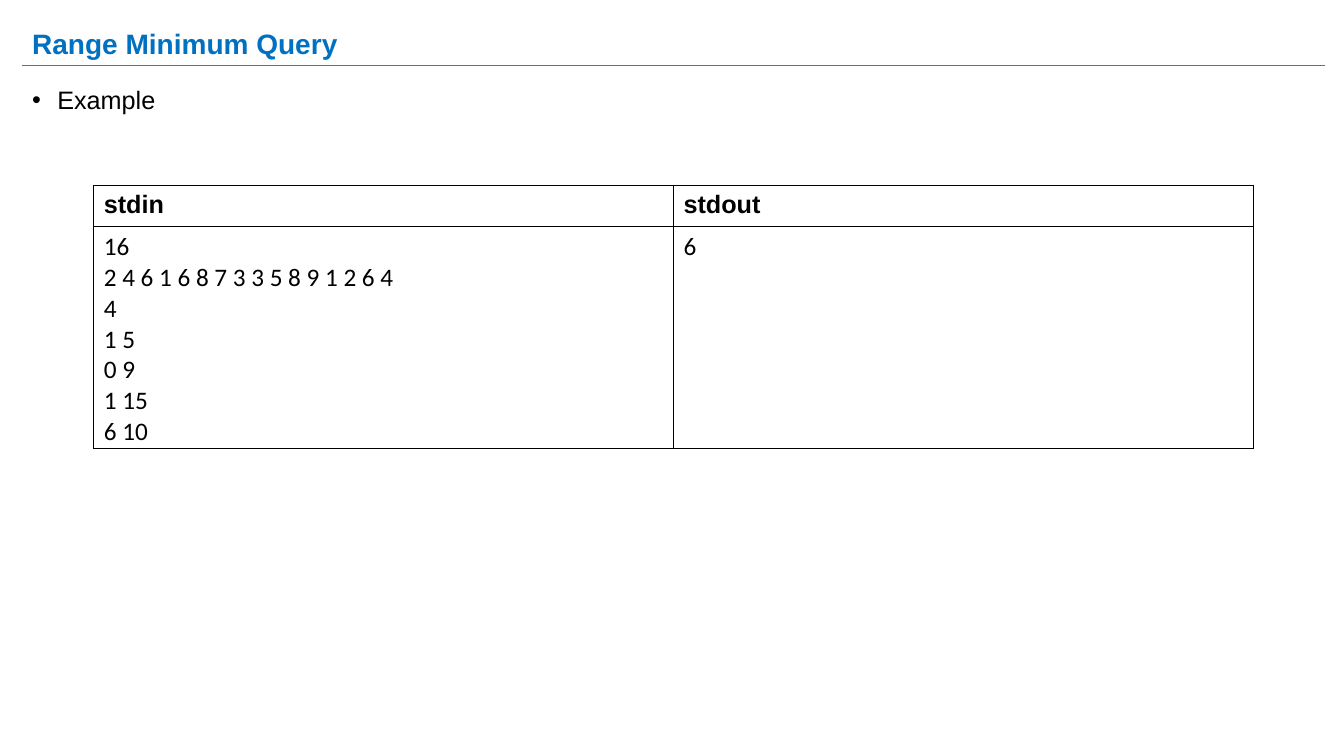
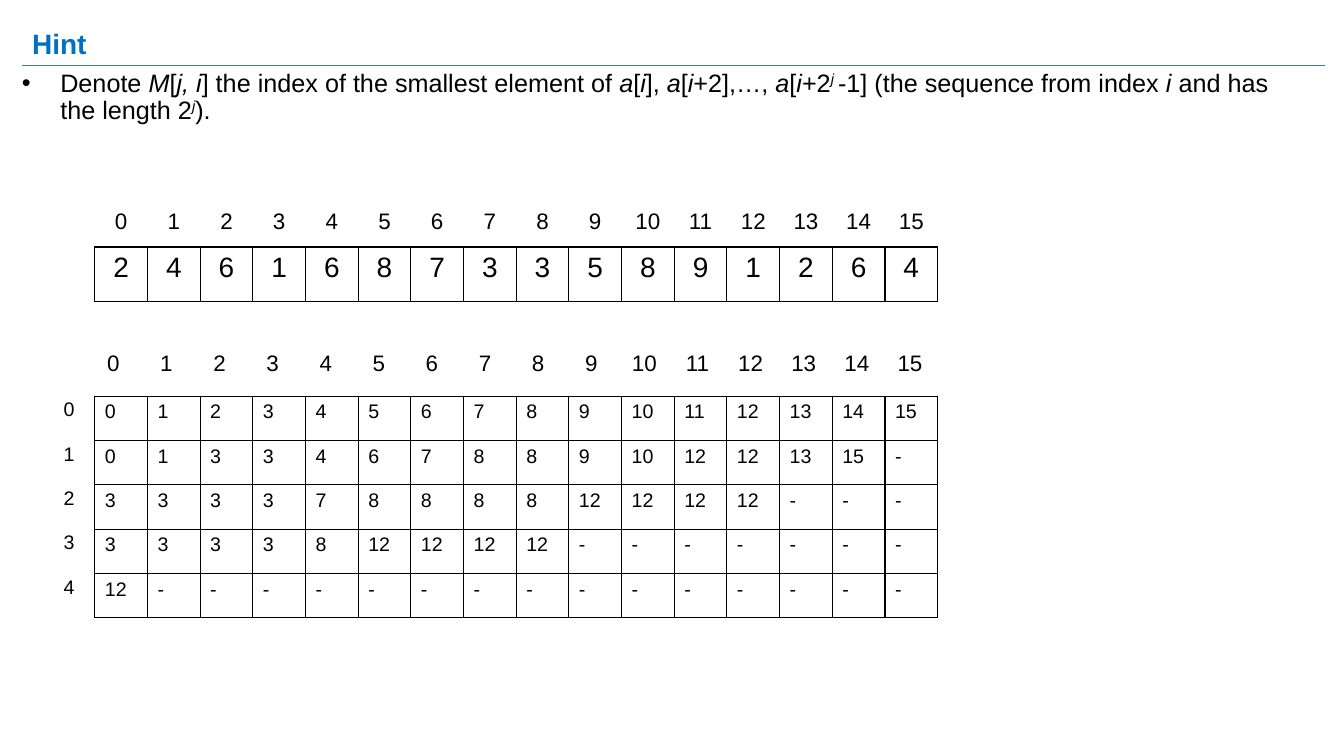
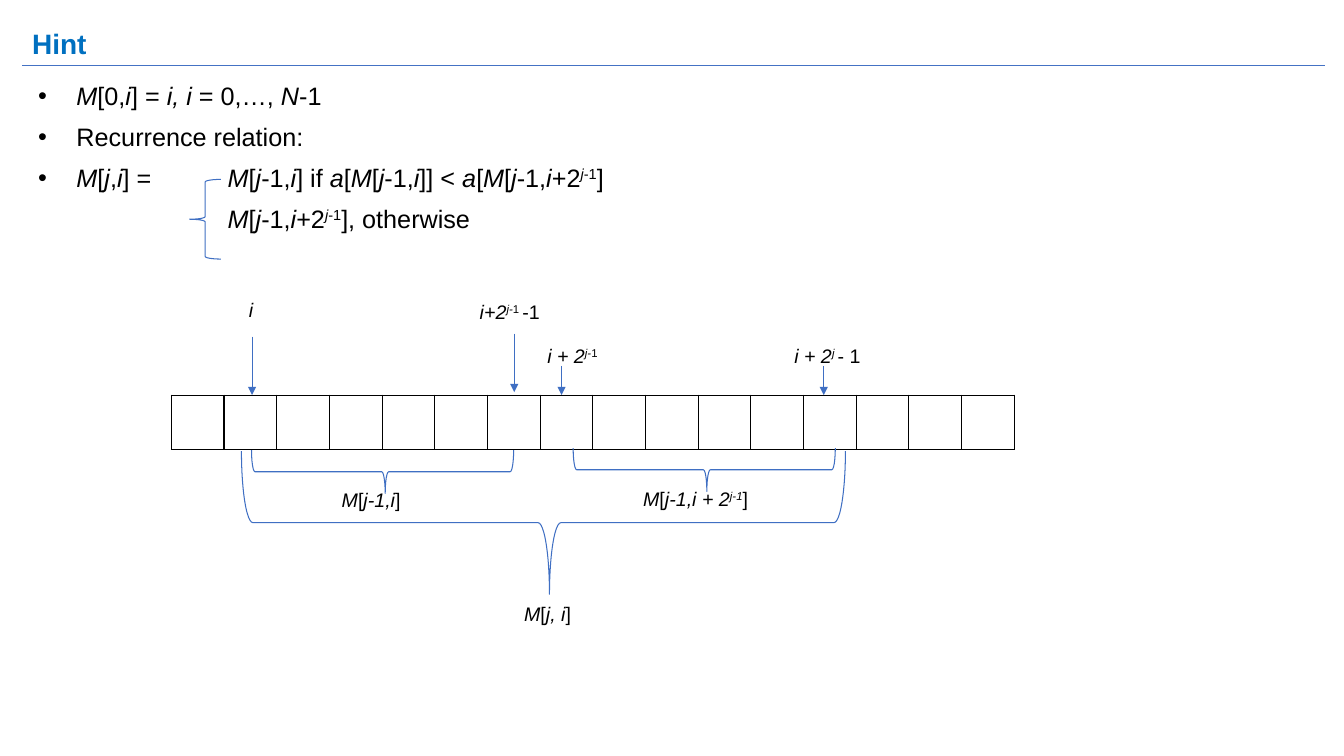
from lxml import etree
from pptx import Presentation
from pptx import util as u
from pptx.dml.color import RGBColor
from pptx.enum import shapes, text
from pptx.oxml import ns

px = 9144
color = RGBColor.from_string
BLACK, WHITE, TITLE_BLUE, RULE_BLUE, DRAWING_BLUE = "000000", "FFFFFF", "0070C0", "4472C4", "3F6FC3"
CENTER = {"alignment": text.PP_ALIGN.CENTER}


def write(frame, lines, font, layout={}, ink=BLACK):
    """Underscores switch italics, carets switch superscript."""
    frame.word_wrap = True
    for n, line in enumerate(lines):
        paragraph = frame.add_paragraph() if n else frame.paragraphs[0]
        for key, value in layout.items():
            setattr(paragraph, key, value)
        raised = False
        for i, part in enumerate(line.split("_")):
            for k, piece in enumerate(part.split("^")):
                raised ^= k > 0
                if not piece:
                    continue
                run = paragraph.add_run()
                run.text = piece
                for key, value in {"name": "Arial", "italic": i % 2 == 1, **font}.items():
                    setattr(run.font, key, value)
                run.font.color.rgb = color(ink)
                if raised:
                    run.font._element.set("baseline", "30000")


def add_grid(slide, box, rows, fonts, layout={}, border=BLACK, fill=None):
    table = slide.shapes.add_table(len(rows), len(rows[0]), *[v * px for v in box]).table
    table.first_row = table.horz_banding = False
    for r, row in enumerate(rows):
        for c, value in enumerate(row):
            cell = table.cell(r, c)
            write(cell.text_frame, value.split("\n"), fonts[r % len(fonts)], layout)
            if fill:
                cell.fill.solid()
                cell.fill.fore_color.rgb = color(fill)
            else:
                cell.fill.background()
            for n, side in enumerate("LRTB"):
                edge = etree.Element(ns.qn(f"a:ln{side}"), w=str(u.Pt(1)))
                if border:
                    paint = etree.SubElement(edge, ns.qn("a:solidFill"))
                    etree.SubElement(paint, ns.qn("a:srgbClr"), val=border)
                else:
                    etree.SubElement(edge, ns.qn("a:noFill"))
                cell._tc.get_or_add_tcPr().insert(n, edge)


deck = Presentation()
deck.slide_width, deck.slide_height = 1333 * px, 750 * px
connectors = []
slides = []
for title in ["Range Minimum Query", "Hint", "Hint"]:
    slide = deck.slides.add_slide(deck.slide_layouts[6])
    frame = slide.shapes.add_textbox(22 * px, 16 * px, 1292 * px, 59 * px).text_frame
    frame.vertical_anchor = text.MSO_ANCHOR.MIDDLE
    write(frame, [title], {"size": u.Pt(20), "bold": True}, {"line_spacing": 0.9}, TITLE_BLUE)
    connectors.append((slide, (22, 65, 1314, 65), RULE_BLUE, False))
    slides.append(slide)
example, sparse_table, recurrence = slides

bodies = [
    (example, (22, 82, 1292, 59), 25, 25, 0, ["Example"]),
    (sparse_table, (0, 65, 1303, 547), 50, 38, 10, [
        "Denote _M_[_j, i_] the index of the smallest element of _a_[_i_], _a_[_i_+2],…, "
        "_a_[_i_+2_^j ^_-1] (the sequence from index _i_ and has the length 2_^j^_).",
    ]),
    (recurrence, (16, 78, 1292, 547), 50, 38, 10, [
        "_M_[0,_i_] = _i, i_ = 0,…, _N_-1",
        "Recurrence relation:",
        "_M_[_j_,_i_] =",
    ]),
    (recurrence, (216, 159, 1092, 88), 0, 0, 10, [
        "_M_[_j_-1,_i_] if _a_[_M_[_j_-1,_i_]] < _a_[_M_[_j_-1,_i_+2^_j_-1^]",
        "_M_[_j_-1,_i_+2^_j_-1^], otherwise",
    ]),
]
for slide, box, indent, hang, space, lines in bodies:
    frame = slide.shapes.add_textbox(*[v * px for v in box]).text_frame
    write(frame, lines, {"size": u.Pt(18)}, {"line_spacing": 0.9, "space_before": u.Pt(space)})
    if not hang:
        continue
    for paragraph in frame.paragraphs:
        props = paragraph._p.get_or_add_pPr()
        props.set("marL", str(indent * px))
        props.set("indent", str(-hang * px))
        etree.SubElement(props, ns.qn("a:buFont"), typeface="Arial")
        etree.SubElement(props, ns.qn("a:buChar"), char="•")

stdin = "16\n2 4 6 1 6 8 7 3 3 5 8 9 1 2 6 4\n4\n1 5\n0 9\n1 15\n6 10"
header_font = {"size": u.Pt(18), "bold": True}
sample_font = {"size": u.Pt(18), "name": "Calibri"}
add_grid(example, (93, 184, 1150, 82), [["stdin", "stdout"], [stdin, "6"]],
         [header_font, sample_font], fill=WHITE)

array = "2 4 6 1 6 8 7 3 3 5 8 9 1 2 6 4".split()
indices = [str(i) for i in range(len(array))]
minimum_positions = [
    indices,
    "0 1 3 3 4 6 7 8 8 9 10 12 12 13 15 -".split(),
    "3 3 3 3 7 8 8 8 8 12 12 12 12 - - -".split(),
    "3 3 3 3 8 12 12 12 12 - - - - - - -".split(),
    ["12"] + ["-"] * 15,
]
small, medium, large = [[{"size": u.Pt(size)}] for size in (14, 16, 20)]
add_grid(sparse_table, (94, 245, 836, 54), [array], large, CENTER)
add_grid(sparse_table, (94, 203, 836, 47), [indices], medium, CENTER, border=None)
add_grid(sparse_table, (94, 393, 836, 220), minimum_positions, small)
add_grid(sparse_table, (86, 344, 843, 47), [indices], medium, CENTER, border=None)
add_grid(sparse_table, (42, 391, 53, 220), [[level] for level in indices[:5]], small, CENTER, border=None)

add_grid(recurrence, (170, 392, 836, 54), [[""] * 16], large)

cases = (188, 178, 31, 79)
left_half, right_half, whole = (358, 338, 43, 260), (677, 336, 43, 260), (468, 219, 142, 599)
for box in [cases, left_half, right_half, whole]:
    brace = recurrence.shapes.add_shape(shapes.MSO_SHAPE.LEFT_BRACE, *[v * px for v in box])
    brace.shadow.inherit = False
    brace.fill.background()
    brace.line.color.rgb = color(DRAWING_BLUE)
    brace.line.width = u.Pt(0.75)
    if box != cases:
        brace.rotation = 270
        brace.adjustments[0], brace.adjustments[1] = 0.08, 0.51

labels = [
    (237, 291, 55, "_i_"),
    (466, 293, 150, "_i+2^j-_1 ^-1"),
    (533, 336, 150, "_i + 2^j-_1^"),
    (778, 336, 150, "_i + 2^j ^_- 1"),
    (329, 479, 150, "_M_[_j-1,i_]"),
    (628, 478, 189, "_M_[_j-1,i + 2^j-1^_]"),
    (510, 592, 150, "_M_[_j, i_]"),
]
for left, top, width, label in labels:
    frame = recurrence.shapes.add_textbox(left * px, top * px, width * px, 40 * px).text_frame
    write(frame, [label], {"size": u.Pt(14)})

for x, start, end in [(250, 334, 392), (510, 331, 389), (557, 363, 392), (817, 363, 392)]:
    connectors.append((recurrence, (x, start, x, end), DRAWING_BLUE, True))

for slide, ends, ink, arrow in connectors:
    connector = slide.shapes.add_connector(shapes.MSO_CONNECTOR.STRAIGHT, *[v * px for v in ends])
    connector.line.color.rgb = color(ink)
    connector.line.width = u.Pt(0.75)
    if arrow:
        etree.SubElement(connector.line._get_or_add_ln(), ns.qn("a:tailEnd"), type="triangle")
    etree.SubElement(connector._element.spPr, ns.qn("a:effectLst"))

deck.save("out.pptx")
